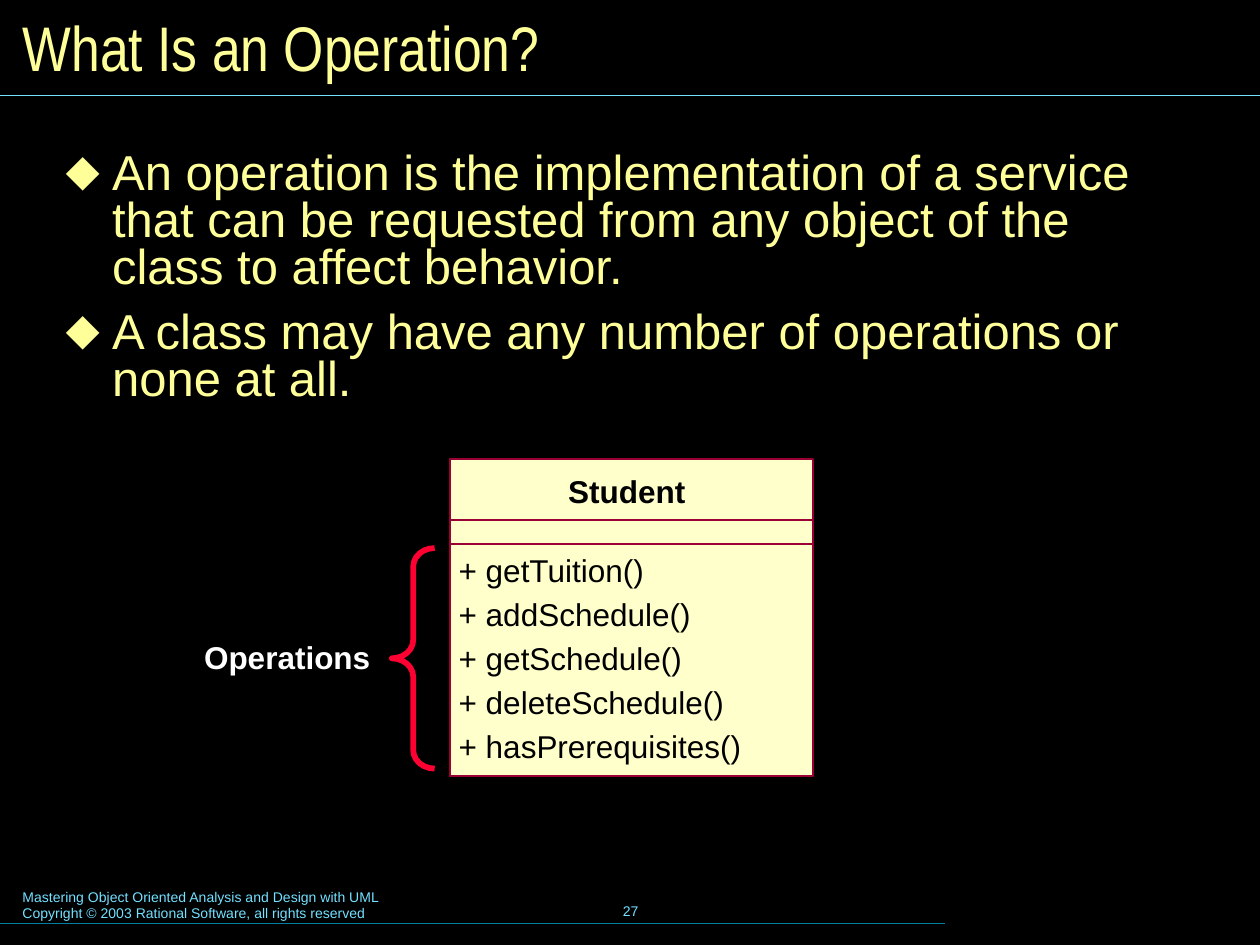
"""Build the slide that explains what a class operation is."""
import pptx
import pptx.dml.color
import pptx.enum.shapes
import pptx.enum.text
import pptx.oxml
import pptx.oxml.ns
import pptx.util
from pptx.util import Inches

BLACK = pptx.dml.color.RGBColor(0x00, 0x00, 0x00)
WHITE = pptx.dml.color.RGBColor(0xFF, 0xFF, 0xFF)
YELLOW = pptx.dml.color.RGBColor(0xFF, 0xFF, 0x99)
CREAM = pptx.dml.color.RGBColor(0xFF, 0xFF, 0xCC)
MAROON = pptx.dml.color.RGBColor(0x99, 0x00, 0x33)
RED = pptx.dml.color.RGBColor(0xFF, 0x00, 0x33)
CYAN = pptx.dml.color.RGBColor(0x73, 0xE1, 0xFF)
TEAL = pptx.dml.color.RGBColor(0x00, 0x7E, 0x9F)

LEFT = pptx.enum.text.PP_ALIGN.LEFT
CENTER = pptx.enum.text.PP_ALIGN.CENTER
TOP = pptx.enum.text.MSO_ANCHOR.TOP
MIDDLE = pptx.enum.text.MSO_ANCHOR.MIDDLE
SHAPES = pptx.enum.shapes.MSO_SHAPE


def write_text(shape, lines, font, margins, align=LEFT, anchor=TOP, wrap=True):
    frame = shape.text_frame
    frame.text = "\n".join(lines)
    side, edge = margins
    frame_format = {
        "auto_size": pptx.enum.text.MSO_AUTO_SIZE.NONE,
        "word_wrap": wrap,
        "vertical_anchor": anchor,
        "margin_left": Inches(side),
        "margin_right": Inches(side),
        "margin_top": Inches(edge),
        "margin_bottom": Inches(edge),
    }
    for name, value in frame_format.items():
        setattr(frame, name, value)
    size, color, bold, family = font
    for paragraph in frame.paragraphs:
        paragraph.alignment = align
        for run in paragraph.runs:
            font_format = {"size": pptx.util.Pt(size), "bold": bold, "name": family}
            for name, value in font_format.items():
                setattr(run.font, name, value)
            run.font.color.rgb = color


def place(shape, left, top, width, height):
    bounds = {"left": left, "top": top, "width": width, "height": height}
    for name, value in bounds.items():
        setattr(shape, name, Inches(value))


presentation = pptx.Presentation()
presentation.slide_width = Inches(10)
presentation.slide_height = Inches(7.5)
slide = presentation.slides.add_slide(presentation.slide_layouts[1])
slide.background.fill.solid()
slide.background.fill.fore_color.rgb = BLACK

for y, length, color in [(7.33, 7.5, TEAL), (0.76, 10, CYAN)]:
    rule = slide.shapes.add_connector(
        pptx.enum.shapes.MSO_CONNECTOR.STRAIGHT,
        Inches(0), Inches(y), Inches(length), Inches(y),
    )
    rule.line.color.rgb = color
    rule.line.width = pptx.util.Pt(0.75)
    rule._element.spPr.append(pptx.oxml.parse_xml(
        f"<a:effectLst {pptx.oxml.ns.nsdecls('a')}/>"
    ))

title = slide.shapes.title
place(title, 0.08, 0.08, 9.84, 0.58)
write_text(title, ["What Is an Operation?"],
           (36, YELLOW, False, "Arial Narrow"), (0.1, 0.05), anchor=MIDDLE)

body = slide.placeholders[1]
place(body, 0.4, 1.15, 8.92, 2.78)
statements = [
    "An operation is the implementation of a service that can be requested "
    "from any object of the class to affect behavior.",
    "A class may have any number of operations or none at all.",
]
write_text(body, statements, (28, YELLOW, False, "Arial"), (0.12, 0.06))
for index, paragraph in enumerate(body.text_frame.paragraphs):
    paragraph.line_spacing = 0.8
    paragraph.space_before = pptx.util.Pt(10.5 if index else 0)
    properties = paragraph._p.get_or_add_pPr()
    properties.set("marL", str(Inches(0.37)))
    properties.set("indent", str(Inches(-0.37)))
    for markup in [
        f'<a:buClr {{}}><a:srgbClr val="{YELLOW}"/></a:buClr>',
        '<a:buFont {} typeface="Arial"/>',
        '<a:buChar {} char="⬥"/>',
    ]:
        properties.append(pptx.oxml.parse_xml(
            markup.format(pptx.oxml.ns.nsdecls("a"))
        ))

brace = slide.shapes.add_shape(
    SHAPES.LEFT_BRACE, Inches(3.11), Inches(4.35), Inches(0.34), Inches(1.75)
)
brace.shadow.inherit = False
brace.adjustments[0] = 0.43
brace.fill.background()
brace.line.color.rgb = RED
brace.line.width = pptx.util.Pt(3.25)

class_bottom = 6.16
for compartment_top in [3.64, 4.13, 4.32]:
    compartment = slide.shapes.add_shape(
        SHAPES.RECTANGLE, Inches(3.57), Inches(compartment_top),
        Inches(2.88), Inches(class_bottom - compartment_top),
    )
    compartment.shadow.inherit = False
    compartment.fill.solid()
    compartment.fill.fore_color.rgb = CREAM
    compartment.line.color.rgb = MAROON
    compartment.line.width = pptx.util.Pt(1)

operations = ["getTuition", "addSchedule", "getSchedule",
              "deleteSchedule", "hasPrerequisites"]
small = (8, CYAN, False, "Arial")
regular = (18, BLACK, False, "Arial")
bold = (18, BLACK, True, "Arial")
footer = [
    "Mastering Object Oriented Analysis and Design with UML",
    "Copyright © 2003 Rational Software, all rights reserved",
]
labels = [
    ((0.08, 7, 5.1, 0.37), footer, small, (0.1, 0.05), LEFT, TOP, True),
    ((3.42, 6.98, 3.17, 0.5), ["27"], small, (0.1, 0.05), CENTER, MIDDLE, True),
    ((1.5, 5, 1.56, 0.42), ["Operations"], (18, WHITE, True, "Arial"),
     (0.12, 0.06), LEFT, TOP, False),
    ((4.51, 3.75, 0.93, 0.3), ["Student"], bold, (0, 0), LEFT, TOP, False),
]
for row, operation in enumerate(operations):
    labels.append(((3.64, 4.37 + 0.35 * row, 2.24, 0.3), [f"+ {operation}()"],
                   regular, (0, 0), LEFT, TOP, False))
for bounds, lines, font, margins, align, anchor, wrap in labels:
    label = slide.shapes.add_textbox(*map(Inches, bounds))
    write_text(label, lines, font, margins, align, anchor, wrap)

presentation.save("out.pptx")
